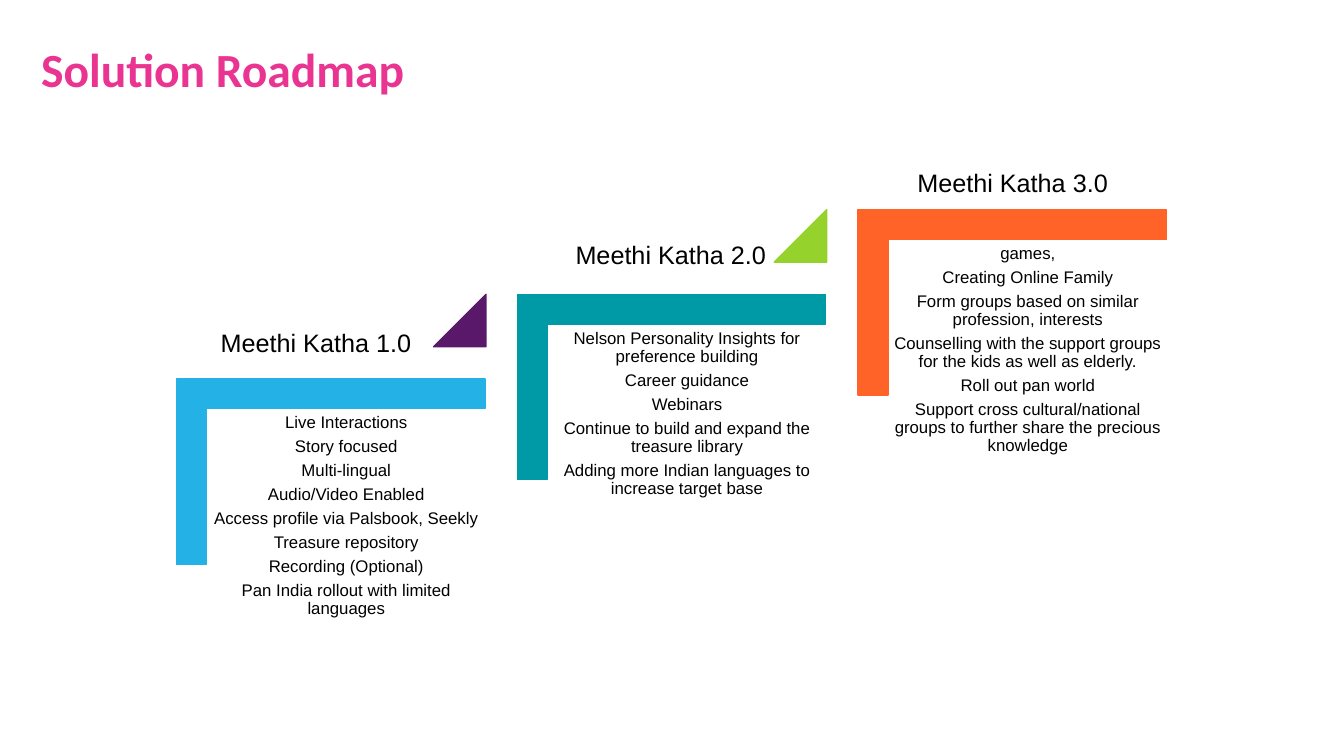
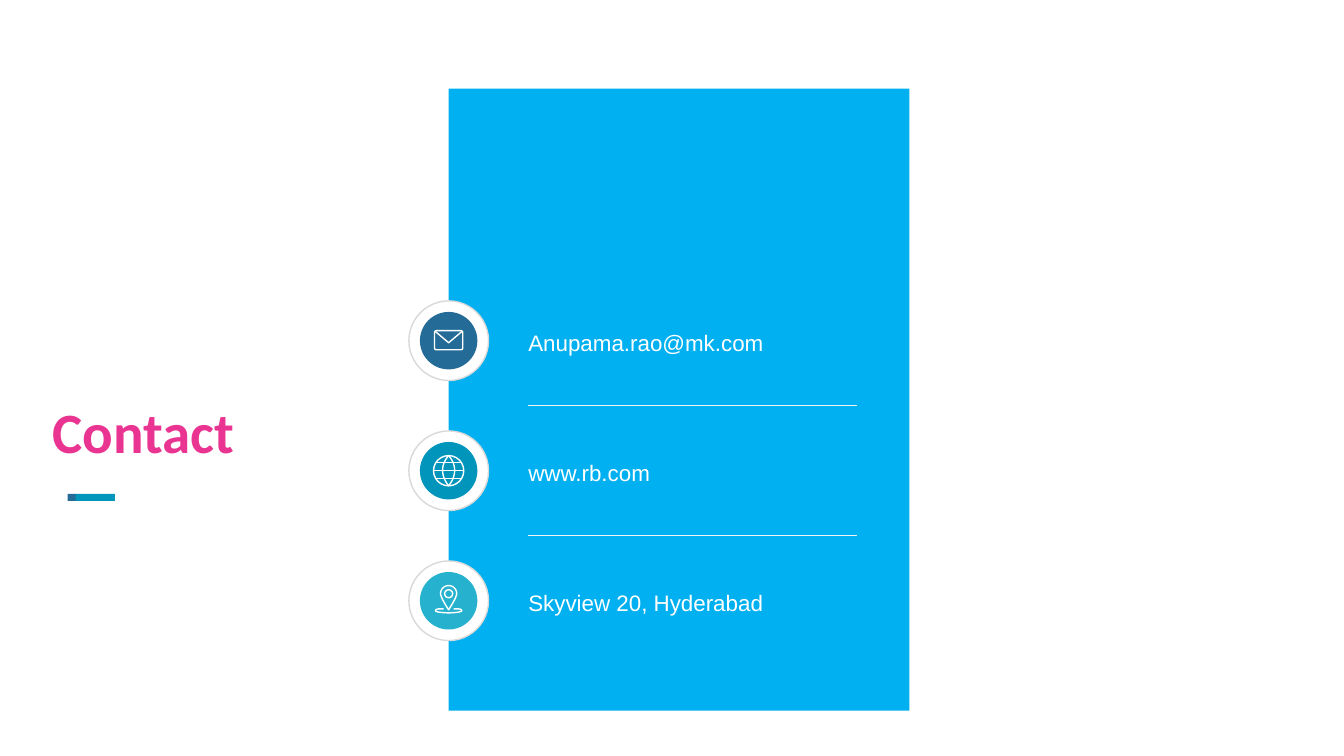
import dataclasses

import pptx
import pptx.dml.color
import pptx.enum.shapes
import pptx.enum.text
import pptx.oxml
import pptx.oxml.ns
import pptx.util

Inches = pptx.util.Inches
Pt = pptx.util.Pt
Kind = pptx.enum.shapes.MSO_SHAPE
Align = pptx.enum.text.PP_ALIGN
Anchor = pptx.enum.text.MSO_ANCHOR


@dataclasses.dataclass(frozen=True)
class Theme:
    pink: str = "E93591"
    black: str = "000000"
    white: str = "FFFFFF"
    sky: str = "24B1E5"
    teal: str = "0099A6"
    flame: str = "FF6328"
    plum: str = "5A186A"
    lime: str = "95D22C"
    panel: str = "00B0F0"
    navy: str = "246C97"
    ocean: str = "0195BC"
    aqua: str = "26B2CE"
    ring: str = "D9D9D9"
    rule: str = "F2F2F2"
    head: str = "Calibri"
    body: str = "Arial"
    title: float = 34
    large: float = 40.7
    label: float = 18
    note: float = 16
    small: float = 12


THEME = Theme()

STAGES = [
    ("Meethi Katha 1.0", (2.09, 3.2), THEME.sky, THEME.plum, [
        "Live Interactions",
        "Story focused",
        "Multi-lingual",
        "Audio/Video Enabled",
        "Access profile via Palsbook, Seekly",
        "Treasure repository",
        "Recording (Optional)",
        "Pan India rollout with limited languages",
    ]),
    ("Meethi Katha 2.0", (5.61, 2.33), THEME.teal, THEME.lime, [
        "Nelson Personality Insights for preference building",
        "Career guidance",
        "Webinars",
        "Continue to build and expand the treasure library",
        "Adding more Indian languages to increase target base",
    ]),
    ("Meethi Katha 3.0", (9, 1.61), THEME.flame, None, [
        "games,",
        "Creating Online Family",
        "Form groups based on similar profession, interests",
        "Counselling with the support groups for the kids as well as elderly.",
        "Roll out pan world",
        "Support cross cultural/national groups to further share the "
        "precious knowledge",
    ]),
]


def tint(code):
    return pptx.dml.color.RGBColor.from_string(code)


def put(item, values):
    for name, value in values.items():
        setattr(item, name, value)


def paint(shape, fill=None, line=None):
    shape.shadow.inherit = False
    if fill:
        shape.fill.solid()
        shape.fill.fore_color.rgb = tint(fill)
    else:
        shape.fill.background()
    if line:
        shape.line.color.rgb = tint(line)
        shape.line.width = Pt(1)
    else:
        shape.line.fill.background()


def add_form(slide, kind, box, fill=None, line=None, bends=(), turn=0):
    shape = slide.shapes.add_shape(kind, *map(Inches, box))
    for index, bend in enumerate(bends):
        shape.adjustments[index] = bend
    shape.rotation = turn
    paint(shape, fill, line)
    return shape


def add_line(slide, start, end, color, width):
    line = slide.shapes.add_connector(
        pptx.enum.shapes.MSO_CONNECTOR.STRAIGHT, *map(Inches, start + end))
    line.line.color.rgb = tint(color)
    line.line.width = Pt(width)
    line._element.spPr.append(pptx.oxml.parse_xml(
        "<a:effectLst %s/>" % pptx.oxml.ns.nsdecls("a")))


def add_text(slide, box, lines, font, color, frame=None, para=None):
    text = slide.shapes.add_textbox(*map(Inches, box)).text_frame
    put(text, {"word_wrap": True, **(frame or {})})
    for index, words in enumerate(lines):
        part = text.paragraphs[0] if index == 0 else text.add_paragraph()
        put(part, para or {})
        run = part.add_run()
        run.text = words
        put(run.font, font)
        run.font.color.rgb = tint(color)


def pad(size):
    sides = ("left", "right", "top", "bottom")
    return {"margin_" + side: Inches(size) for side in sides}


def add_title(slide, box, words, size, space, frame=None):
    font = {"name": THEME.head, "size": Pt(size), "bold": True}
    add_text(slide, box, [words], font, THEME.pink, frame,
             {"line_spacing": space})


def bend(start, *curves, steps=12):
    dots = [start]
    for one, two, end in curves:
        base = dots[-1]
        for step in range(1, steps + 1):
            t = step / steps
            u = 1 - t
            dots.append(tuple(
                u ** 3 * a + 3 * u * u * t * b + 3 * u * t * t * c + t ** 3 * d
                for a, b, c, d in zip(base, one, two, end)))
    return dots


def add_path(slide, hub, dots, close=False):
    spots = [(Inches(hub[0] + x), Inches(hub[1] + y)) for x, y in dots]
    pen = slide.shapes.build_freeform(*spots[0], scale=1.0)
    pen.add_line_segments(spots[1:], close=close)
    paint(pen.convert_to_shape(), line=THEME.white)


def add_disc(slide, hub, size, fill=None, line=None):
    x, y = hub
    add_form(slide, Kind.OVAL, (x - size / 2, y - size / 2, size, size),
             fill, line)


def draw_mail(slide, hub):
    x, y = hub
    add_form(slide, Kind.ROUNDED_RECTANGLE, (x - 0.14, y - 0.1, 0.28, 0.19),
             line=THEME.white, bends=[0.1])
    add_path(slide, hub, [(0.13, -0.09), (0, 0.02), (-0.13, -0.09)])


def draw_globe(slide, hub):
    x, y = hub
    add_disc(slide, hub, 0.3, line=THEME.white)
    for side in (-0.08, 0.08):
        add_path(slide, hub, bend(
            (0, -0.15), ((side, -0.06), (side, 0.05), (0, 0.15))))
    for drop, half in ((-0.08, 0.13), (0, 0.15), (0.08, 0.13)):
        add_line(slide, (x - half, y + drop), (x + half, y + drop),
                 THEME.white, 1)


def draw_pin(slide, hub):
    x, y = hub
    add_disc(slide, (x, y - 0.07), 0.08, line=THEME.white)
    add_path(slide, hub, bend(
        (0.08, -0.07),
        ((0.08, -0.03), (0, 0.09), (0, 0.09)),
        ((0, 0.09), (-0.08, -0.03), (-0.08, -0.07)),
        ((-0.08, -0.12), (-0.04, -0.15), (0, -0.15)),
        ((0.04, -0.15), (0.08, -0.12), (0.08, -0.07))), close=True)
    add_path(slide, hub, bend(
        (0.05, 0.08),
        ((0.1, 0.08), (0.13, 0.08), (0.13, 0.1)),
        ((0.13, 0.11), (0.07, 0.12), (0, 0.12)),
        ((-0.07, 0.12), (-0.13, 0.11), (-0.13, 0.1)),
        ((-0.13, 0.08), (-0.1, 0.08), (-0.05, 0.08))))


def add_stage(slide, index, stage):
    name, spot, color, flag, items = stage
    x, y = 3.38 * index, -0.84 * index
    add_form(slide, Kind.CORNER, (2.36 + x, 3.15 + y, 1.84, 3.06),
             color, color, [0.161, 0.161], 90)
    add_text(slide, (2.05 + x, 4.06 + y, 2.77, 2.42), items,
             {"name": THEME.body, "size": Pt(THEME.small)}, THEME.black,
             pad(0.05), {"alignment": Align.CENTER, "line_spacing": 0.9,
                         "space_after": Pt(4.2)})
    if flag:
        add_form(slide, Kind.ISOSCELES_TRIANGLE,
                 (4.3 + x, 2.92 + y, 0.52, 0.52), flag, flag, [1])
    add_text(slide, spot + (2.12, 0.4), [name],
             {"name": THEME.body, "size": Pt(THEME.label)}, THEME.black)


def add_entry(slide, hub, words, color, draw):
    add_disc(slide, hub, 0.79, THEME.white, THEME.ring)
    add_disc(slide, hub, 0.57, color)
    draw(slide, hub)
    add_text(slide, (5.24, hub[1] - 0.15, 3.91, 0.29), [words],
             {"name": THEME.body, "size": Pt(THEME.note)}, THEME.white,
             {"vertical_anchor": Anchor.MIDDLE, **pad(0)},
             {"line_spacing": 1.2})


def make_roadmap(slide):
    add_title(slide, (0.31, 0.4, 11.83, 0.63), "Solution Roadmap",
              THEME.title, 0.9, {"vertical_anchor": Anchor.MIDDLE})
    for index, stage in enumerate(STAGES):
        add_stage(slide, index, stage)


def make_contact(slide):
    add_title(slide, (0.42, 4.02, 2.88, 0.67), "Contact", THEME.large, 0.8)
    add_form(slide, Kind.RECTANGLE, (0.74, 4.9, 0.4, 0.07), THEME.ocean)
    add_form(slide, Kind.RECTANGLE, (0.67, 4.9, 0.08, 0.07), THEME.navy)
    add_form(slide, Kind.RECTANGLE, (4.45, 0.88, 4.57, 6.17), THEME.panel)
    top, gap = 3.38, 1.29
    entries = [
        ("Anupama.rao@mk.com", THEME.navy, draw_mail),
        ("www.rb.com", THEME.ocean, draw_globe),
        ("Skyview 20, Hyderabad", THEME.aqua, draw_pin),
    ]
    for index, entry in enumerate(entries):
        y = top + gap * index
        add_entry(slide, (4.45, y), *entry)
        if index:
            add_line(slide, (5.24, y - gap / 2), (8.5, y - gap / 2),
                     THEME.rule, 0.5)


def main():
    deck = pptx.Presentation()
    put(deck, {"slide_width": Inches(13.33), "slide_height": Inches(7.5)})
    for make in (make_roadmap, make_contact):
        make(deck.slides.add_slide(deck.slide_layouts[6]))
    deck.save("out.pptx")


if __name__ == "__main__":
    main()
